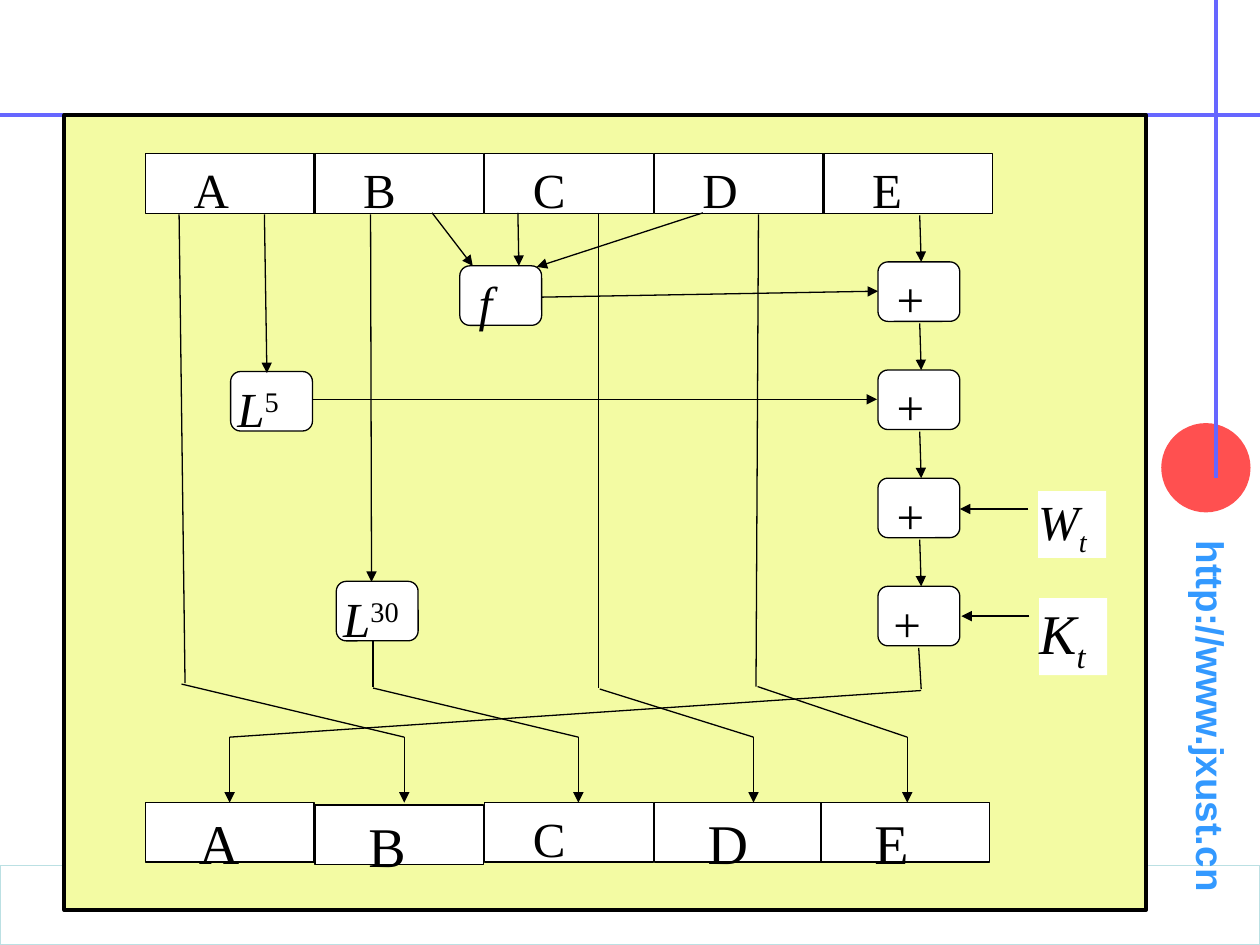
from lxml import etree
from pptx import Presentation
from pptx.dml.color import RGBColor
from pptx.enum.shapes import MSO_CONNECTOR, MSO_SHAPE
from pptx.enum.text import MSO_ANCHOR, PP_ALIGN
from pptx.oxml.ns import qn
from pptx.util import Cm, Pt

RECT, ROUND, OVAL = MSO_SHAPE.RECTANGLE, MSO_SHAPE.ROUNDED_RECTANGLE, MSO_SHAPE.OVAL
STRAIGHT = MSO_CONNECTOR.STRAIGHT
TOP, MIDDLE = MSO_ANCHOR.TOP, MSO_ANCHOR.MIDDLE
LEFT = PP_ALIGN.LEFT
SERIF, SANS = "Times New Roman", "Arial"
BLACK, WHITE, BLUE = "000000", "FFFFFF", "6666FF"


def color(value):
    return RGBColor.from_string(value)


class Diagram:
    def __init__(self, slide):
        self.s = slide

    def shape(self, kind, box, fill=None, line=BLACK, width=0.75):
        sp = self.s.shapes.add_shape(kind, *map(Cm, box))
        sp.shadow.inherit = False
        if fill:
            sp.fill.solid()
            sp.fill.fore_color.rgb = color(fill)
        else:
            sp.fill.background()
        if line:
            sp.line.color.rgb = color(line)
            sp.line.width = Pt(width)
        else:
            sp.line.fill.background()
        return sp

    def line(self, x1, y1, x2, y2, arrow=False, line=BLACK, width=0.75):
        c = self.s.shapes.add_connector(STRAIGHT, *map(Cm, (x1, y1, x2, y2)))
        c.line.color.rgb = color(line)
        c.line.width = Pt(width)
        if arrow:
            etree.SubElement(c.line._get_or_add_ln(), qn("a:tailEnd"), type="triangle")
        etree.SubElement(c._element.spPr, qn("a:effectLst"))

    def text(self, sp, runs, margins, size=28, wrap=True, anchor=TOP, hue=BLACK):
        """Write (text, font format, baseline percent) runs; margins are left and top."""
        tf = sp.text_frame
        left, top = map(Cm, margins)
        frame = dict(word_wrap=wrap, vertical_anchor=anchor, margin_left=left,
                     margin_top=top, margin_right=0, margin_bottom=0)
        for name, value in frame.items():
            setattr(tf, name, value)
        p = tf.paragraphs[0]
        p.alignment = LEFT
        for content, style, baseline in runs:
            r = p.add_run()
            r.text = content
            r.font.color.rgb = color(hue)
            for name, value in (dict(name=SERIF, size=Pt(size)) | style).items():
                setattr(r.font, name, value)
            if baseline:
                r._r.get_or_add_rPr().set("baseline", str(baseline * 1000))

    def register(self, x, y, label, size):
        sp = self.shape(RECT, (x, y, 3.4, 1.2), WHITE)
        indent = 0.23 + size * 0.0265
        self.text(sp, [(label, {}, 0)], (indent, 0.12), size)

    def operation(self, x, y, runs, left):
        sp = self.shape(ROUND, (x, y, 1.65, 1.2), WHITE)
        self.text(sp, runs, (left, 0.08))

    def operand(self, x, y, height, label, size):
        sp = self.shape(RECT, (x, y, 1.37, height), WHITE, None)
        runs = [(label, {"italic": True}, 0), ("t", {"italic": True}, -25)]
        self.text(sp, runs, (0, 0), size)

    def vertical_text(self, box, content, size, hue):
        sp = self.s.shapes.add_textbox(*map(Cm, box))
        self.text(sp, [(content, {"name": SANS, "bold": True}, 0)],
                  (0, 0), size, False, MIDDLE, hue)
        sp.text_frame._txBody.bodyPr.set("vert", "eaVert")


def main():
    prs = Presentation()
    prs.slide_width, prs.slide_height = Cm(25.4), Cm(19.05)
    d = Diagram(prs.slides.add_slide(prs.slide_layouts[6]))

    # Page frame
    d.shape(OVAL, (23.41, 8.53, 1.8, 1.8), "FF5050", None)
    d.shape(RECT, (0, 17.45, 25.4, 1.6), line="BBE0E3")
    d.line(24.51, 0, 24.51, 9.63, line=BLUE, width=2.25)
    d.line(0, 2.32, 25.4, 2.32, line=BLUE, width=2.25)
    d.vertical_text((23.97, 10.9, 0.91, 7.05), "http://www.jxust.cn", 22, "3399FF")
    d.shape(RECT, (1.3, 2.32, 21.8, 16.03), "F3FBA3", width=2.25)

    # Registers before and after the round
    after = [(16.18, 32), (16.23, 32), (16.18, 28), (16.18, 32), (16.18, 32)]
    for i, (label, (y, size)) in enumerate(zip("ABCDE", after)):
        x = 2.93 + 3.42 * i
        d.register(x, 3.1, label, 28)
        d.register(16.55 if label == "E" else x, y, label, size)

    # Each value crosses over, then drops into its new register
    for x1, y1, x2 in [(3.66, 13.79, 8.15), (7.52, 13.87, 11.66), (12.09, 13.89, 15.19),
                       (15.27, 13.84, 18.29), (18.57, 13.92, 4.63)]:
        d.line(x1, y1, x2, 14.86)
        d.line(x2, 14.86, x2, 16.18, arrow=True)

    for ends in [(3.61, 4.32, 3.73, 13.77), (12.07, 4.29, 12.07, 13.87),
                 (15.29, 4.32, 15.24, 13.84), (7.52, 12.88, 7.52, 13.84),
                 (18.52, 13.06, 18.57, 13.89)]:
        d.line(*ends)

    # Additions
    for i in range(4):
        y = 5.28 + 2.18 * i
        d.operation(17.7, y, [("+", {}, 0)], 0.25 if i == 3 else 0.32)
        d.line(18.54, y - 0.94, 18.57, y, arrow=True)

    # Function and rotations
    italic = {"italic": True}
    d.operation(9.27, 5.36, [("f", italic, 0)], 0.32)
    d.operation(4.65, 7.49, [("L", italic, 0), ("5", {}, 30)], 0.08)
    d.operation(6.78, 11.72, [("L", italic, 0), ("30", {}, 30)], 0.08)
    d.operand(20.93, 9.9, 1.35, "W", 28)
    d.operand(20.95, 12.06, 1.55, "K", 32)

    for ends in [(8.71, 4.29, 9.53, 5.36), (10.44, 4.29, 10.46, 5.36),
                 (14.17, 4.29, 10.82, 5.38), (10.92, 5.99, 17.7, 5.87),
                 (5.33, 4.32, 5.38, 7.52), (6.3, 8.05, 17.68, 8.05),
                 (7.47, 4.32, 7.49, 11.73), (20.73, 10.26, 19.35, 10.26),
                 (20.75, 12.42, 19.38, 12.42)]:
        d.line(*ends, arrow=True)

    prs.save("out.pptx")


if __name__ == "__main__":
    main()
